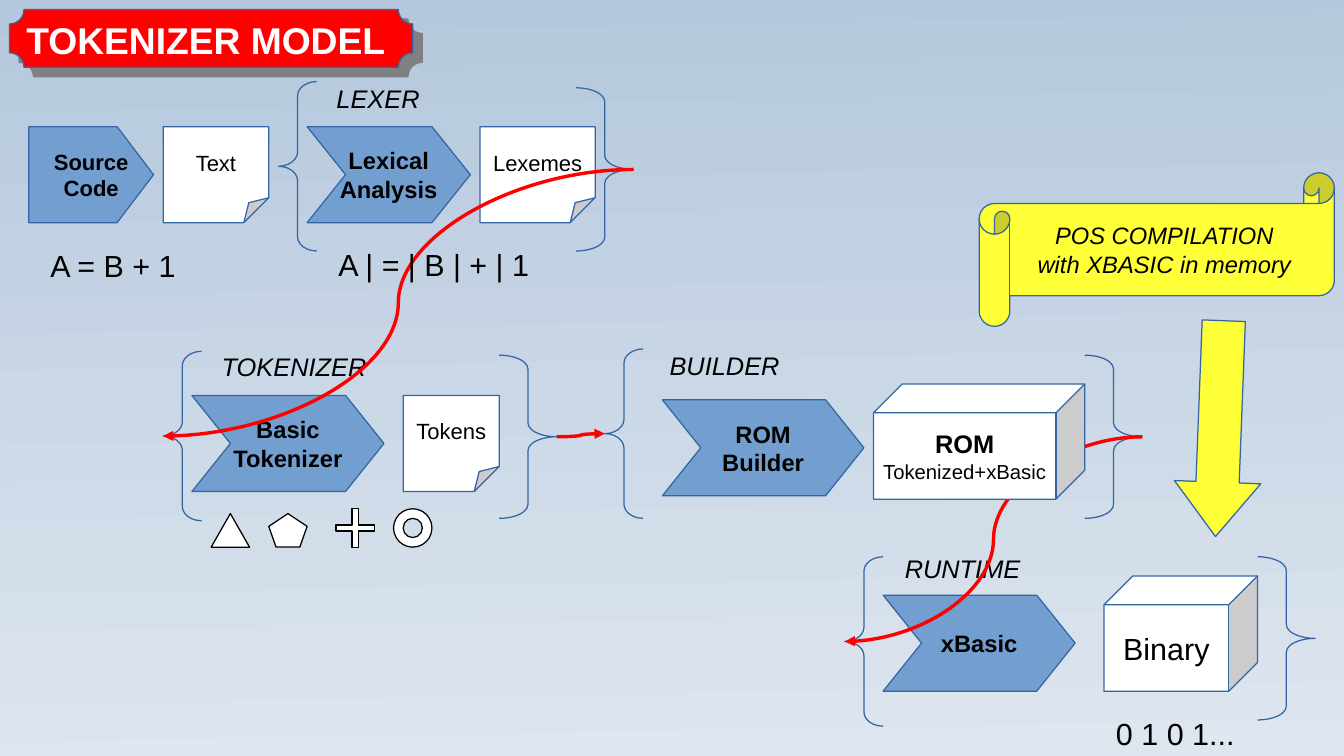
from lxml.etree import SubElement
from pptx import Presentation
from pptx.dml.color import RGBColor
from pptx.enum.shapes import MSO_CONNECTOR, MSO_SHAPE as Shape
from pptx.enum.text import MSO_ANCHOR, PP_ALIGN
from pptx.oxml.ns import qn
from pptx.util import Cm, Pt

COLORS = {
    "sky": "B4C7DC", "haze": "DEE6EF", "banner": "FF0000", "shadow": "808080",
    "step": "729FCF", "outline": "3465A4", "flow": "FF0000", "note": "FFFF38",
    "paper": "FFFFFF", "ink": "000000",
}
LEFT_BRACE = (0.8, 3.53)
RIGHT_BRACE = (1.2, 3.4)
STEP_HEIGHT = 2

# Stage: left brace, right brace, label position and width (cm)
STAGES = {
    "LEXER": ((5.8, 1.7), (12, 1.83), (6.76, 1.6), 2.5),
    "TOKENIZER": ((3.4, 7.32), (10.4, 7.4), (4.37, 7.19), 3.8),
    "BUILDER": ((12.6, 7.27), (22.6, 7.4), (13.7, 7.16), 3.6),
    "RUNTIME": ((17.6, 11.6), (26.2, 11.6), (18.6, 11.4), 3.2),
}


def rgb(name):
    return RGBColor.from_string(COLORS[name])


def write(frame, lines, size, color="ink", bold=False, italic=False, align=PP_ALIGN.CENTER):
    frame.text = "\n".join(lines)
    for paragraph in frame.paragraphs:
        paragraph.alignment = align
        for run in paragraph.runs:
            font = run.font
            font.name, font.size, font.bold, font.italic = "Arial", Pt(size), bold, italic
            font.color.rgb = rgb(color)


def set_adjustments(figure, values):
    """Write the guides in XML, since python-pptx lists none for some presets."""
    guides = figure.element.spPr.find(qn("a:prstGeom")).find(qn("a:avLst"))
    for guide in list(guides):
        guides.remove(guide)
    for number, value in enumerate(values, 1):
        name = f"adj{number}" if len(values) > 1 else "adj"
        SubElement(guides, qn("a:gd"), name=name, fmla=f"val {round(value * 100000)}")


def add_figure(slide, kind, left, top, width, height, fill=None, outline="outline", adjust=()):
    """Add a preset shape, unfilled when no fill colour is given."""
    figure = slide.shapes.add_shape(kind, Cm(left), Cm(top), Cm(width), Cm(height))
    figure.shadow.inherit = False
    if fill:
        figure.fill.solid()
        figure.fill.fore_color.rgb = rgb(fill)
    else:
        figure.fill.background()
    figure.line.color.rgb = rgb(outline)
    figure.line.width = Pt(0)
    set_adjustments(figure, adjust)
    return figure


def add_captioned(slide, kind, box, fill, adjust, lines, size, **style):
    """Add a shape with centred text inside."""
    figure = add_figure(slide, kind, *box, fill, adjust=adjust)
    figure.text_frame.word_wrap = False
    figure.text_frame.vertical_anchor = MSO_ANCHOR.MIDDLE
    write(figure.text_frame, lines, size, **style)
    return figure


def add_step(slide, left, top, width, *lines):
    box = (left, top, width, STEP_HEIGHT)
    return add_captioned(slide, Shape.CHEVRON, box, "step", [0.4], lines, 14, bold=True)


def add_sheet(slide, left, top, width, name):
    box = (left, top, width, STEP_HEIGHT)
    return add_captioned(slide, Shape.FOLDED_CORNER, box, "paper", [0.26], [name], 13)


def add_cube(slide, left, top, width, lines, size):
    return add_captioned(slide, Shape.CUBE, (left, top, width, 2.4), "paper", [0.25], lines, size)


def add_label(slide, left, top, width, text, size, **style):
    box = slide.shapes.add_textbox(Cm(left), Cm(top), Cm(width), Cm(0.9))
    box.text_frame.word_wrap = True
    write(box.text_frame, [text], size, align=PP_ALIGN.LEFT, **style)


def add_stage(slide, name):
    opening, closing, label, width = STAGES[name]
    add_figure(slide, Shape.LEFT_BRACE, *opening, *LEFT_BRACE, adjust=[0.37, 0.5])
    add_figure(slide, Shape.RIGHT_BRACE, *closing, *RIGHT_BRACE, adjust=[0.24, 0.5])
    add_label(slide, *label, width, name, 15, italic=True)


def add_flow(slide, source, target):
    """Draw a curved arrow from the closing brace of one stage to the opening brace of another."""
    closing, opening = STAGES[source][1], STAGES[target][0]
    flow = slide.shapes.add_connector(
        MSO_CONNECTOR.CURVE,
        Cm(closing[0] + RIGHT_BRACE[0]), Cm(closing[1] + RIGHT_BRACE[1] / 2),
        Cm(opening[0]), Cm(opening[1] + LEFT_BRACE[1] / 2))
    flow.line.color.rgb = rgb("flow")
    flow.line.width = Pt(0)
    properties = flow.element.spPr
    SubElement(properties.find(qn("a:ln")), qn("a:tailEnd"), type="triangle")
    SubElement(properties, qn("a:effectLst"))


def add_title(slide):
    banner = add_figure(slide, Shape.PLAQUE, 0.2, 0.2, 8.4, 1.2, "banner", adjust=[0.25])
    effects = banner.element.spPr.find(qn("a:effectLst"))
    shadow = SubElement(effects, qn("a:outerShdw"), blurRad="0", dist=str(Pt(8)),
                        dir="2700000", algn="tl", rotWithShape="0")
    SubElement(shadow, qn("a:srgbClr"), val=COLORS["shadow"])
    add_label(slide, 0.3, 0.23, 8.3, "TOKENIZER MODEL", 22, color="paper", bold=True)


def paint_background(slide):
    fill = slide.background.fill
    fill.gradient()
    fill.gradient_angle = 271
    for stop, name in zip(fill.gradient_stops, ("sky", "haze")):
        stop.color.rgb = rgb(name)


def add_token_symbols(slide):
    for kind, left, top, height, adjust in (
            (Shape.ISOSCELES_TRIANGLE, 4.4, 10.7, 0.7, [0.5]),
            (Shape.REGULAR_PENTAGON, 5.6, 10.7, 0.7, []),
            (Shape.CROSS, 7, 10.6, 0.8, [0.42]),
            (Shape.DONUT, 8.2, 10.6, 0.8, [0.25])):
        add_figure(slide, kind, left, top, 0.8, height, "paper", "ink", adjust)


def add_compilation_note(slide):
    arrow = add_figure(slide, Shape.LEFT_ARROW, 23.16, 8.03, 4.5, 1.8, "note", adjust=[0.5, 0.63])
    arrow.rotation = 272.2
    add_captioned(slide, Shape.HORIZONTAL_SCROLL, (20.4, 3.6, 7.4, 3.2), "note", [0.2],
                  ["POS COMPILATION", "with XBASIC in memory"], 14, italic=True)


def main():
    deck = Presentation()
    deck.slide_width, deck.slide_height = Cm(28), Cm(15.75)
    slide = deck.slides.add_slide(deck.slide_layouts[6])
    paint_background(slide)
    add_title(slide)

    source_code = add_captioned(slide, Shape.PENTAGON, (0.6, 2.64, 2.6, STEP_HEIGHT), "step",
                                [0.38], ["Source", "Code"], 13, bold=True)
    source_code.text_frame.margin_left = Cm(0.63)
    add_step(slide, 6.4, 2.64, 3.4, "Lexical", "Analysis")
    add_step(slide, 13.8, 8.33, 4.2, "ROM", "Builder")
    add_step(slide, 4, 8.24, 4, "Basic", "Tokenizer")
    add_step(slide, 18.4, 12.4, 4, "xBasic")

    add_sheet(slide, 3.4, 2.64, 2.2, "Text")
    add_sheet(slide, 10, 2.64, 2.4, "Lexemes")
    add_sheet(slide, 8.4, 8.24, 2, "Tokens")
    add_cube(slide, 23, 12, 3.2, ["Binary"], 18)

    for name in STAGES:
        add_stage(slide, name)
    for source, target in zip(STAGES, list(STAGES)[1:]):
        add_flow(slide, source, target)

    rom = add_cube(slide, 18.2, 8, 4.4, ["ROM", "Tokenized+xBasic"], 12)
    heading = rom.text_frame.paragraphs[0].runs[0].font
    heading.size, heading.bold = Pt(15), True

    add_label(slide, 0.8, 5.03, 3.4, "A = B + 1", 18)
    add_label(slide, 6.8, 5, 4.8, "A | = | B | + | 1", 18)
    add_label(slide, 23, 14.78, 3.3, "0 1 0 1...", 18)
    add_token_symbols(slide)
    add_compilation_note(slide)
    deck.save("out.pptx")


if __name__ == "__main__":
    main()
